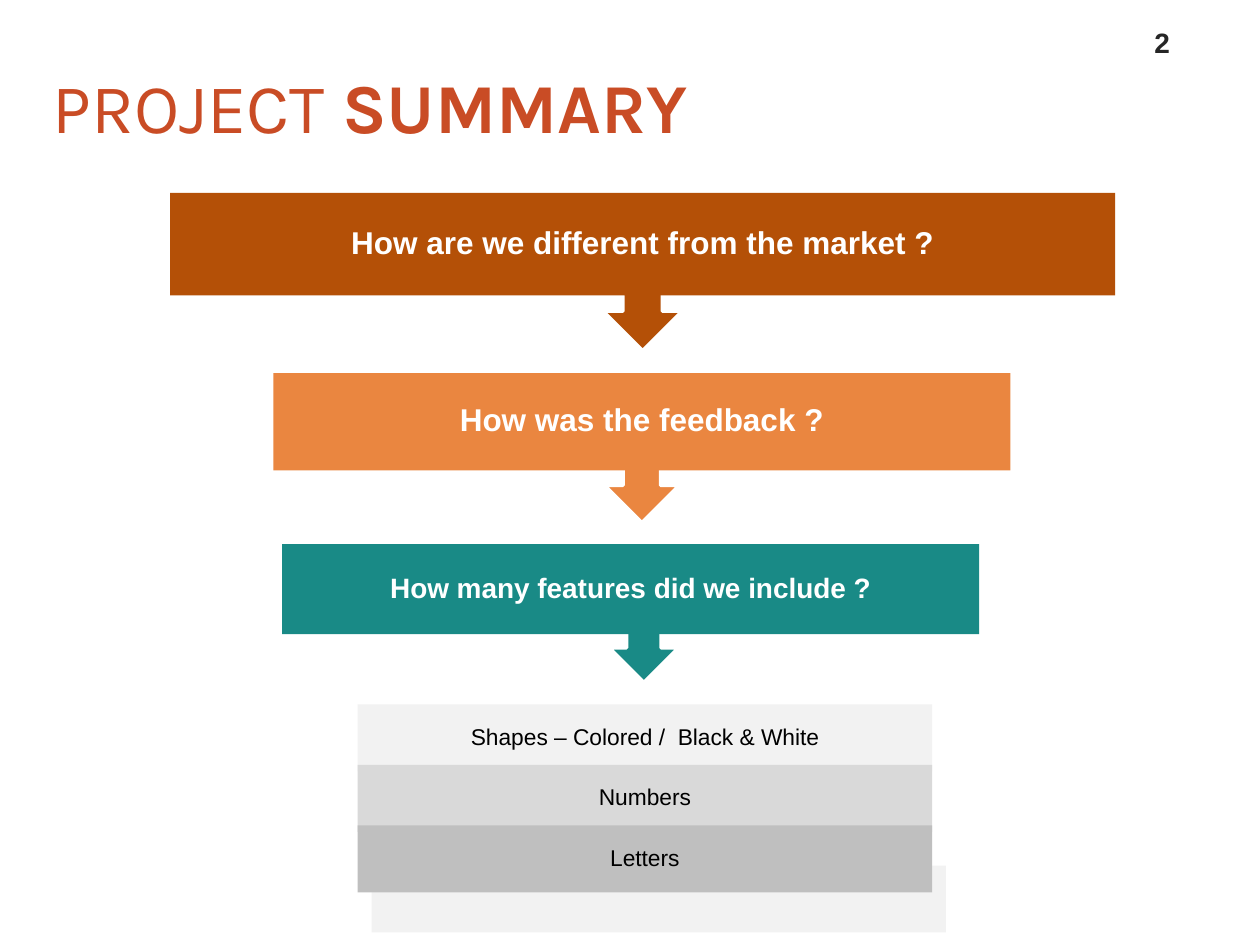
from dataclasses import dataclass

from pptx import Presentation
from pptx.dml.color import RGBColor
from pptx.enum.shapes import MSO_SHAPE
from pptx.enum.text import MSO_ANCHOR, MSO_AUTO_SIZE, PP_ALIGN
from pptx.util import Cm, Pt

RECTANGLE = MSO_SHAPE.RECTANGLE
ARROW_CALLOUT = MSO_SHAPE.DOWN_ARROW_CALLOUT
MIDDLE, BOTTOM = MSO_ANCHOR.MIDDLE, MSO_ANCHOR.BOTTOM
LEFT, CENTER = PP_ALIGN.LEFT, PP_ALIGN.CENTER
NO_FIT = MSO_AUTO_SIZE.NONE
TITLE_ONLY = 5


@dataclass(frozen=True)
class Theme:
    """Colours, fonts and type sizes of the slide."""
    title: str = "C94C25"
    number: str = "262626"
    white: str = "FFFFFF"
    black: str = "000000"
    rust: str = "B45007"
    orange: str = "EA8640"
    teal: str = "198A86"
    greys: tuple = ("F2F2F2", "D9D9D9", "BFBFBF")
    heading_font: str = "Karla"
    body_font: str = "Arial"
    title_size: int = 40
    large: int = 18
    medium: int = 16
    small: int = 13


THEME = Theme()


@dataclass(frozen=True)
class Box:
    """A rectangle on the slide, in centimetres."""
    left: float
    top: float
    width: float
    height: float

    def lengths(self):
        """Return the four lengths in the order that python-pptx takes."""
        return Cm(self.left), Cm(self.top), Cm(self.width), Cm(self.height)


def add_span(para, text, size, color, font=THEME.body_font, bold=False):
    """Add formatted text to a paragraph."""
    span = para.add_run()
    span.text = text
    span.font.name = font
    span.font.size = Pt(size)
    span.font.bold = bold
    span.font.color.rgb = RGBColor.from_string(color)


def set_frame(frame, anchor=MIDDLE, align=CENTER, side=0.25, end=0.25):
    """Set up a text frame and return its first paragraph."""
    frame.word_wrap = True
    frame.auto_size = NO_FIT
    frame.vertical_anchor = anchor
    frame.margin_left = frame.margin_right = Cm(side)
    frame.margin_top = frame.margin_bottom = Cm(end)
    para = frame.paragraphs[0]
    para.alignment = align
    return para


def add_block(shapes, kind, box, fill, outline=None):
    """Add a filled preset shape without a shadow."""
    block = shapes.add_shape(kind, *box.lengths())
    block.shadow.inherit = False
    block.fill.solid()
    block.fill.fore_color.rgb = RGBColor.from_string(fill)
    if outline:
        block.line.color.rgb = RGBColor.from_string(outline)
        block.line.width = Pt(2)
    else:
        block.line.fill.background()
    return block


def add_label(block, text, size, color, bold=False, margin=0.25):
    """Write centred text in a block."""
    para = set_frame(block.text_frame, side=margin, end=margin)
    para.line_spacing = 0.9
    add_span(para, text, size, color, bold=bold)


def add_title(page, box):
    """Place the two-weight title in its placeholder."""
    title = page.shapes.title
    title.left, title.top, title.width, title.height = box.lengths()
    para = set_frame(title.text_frame, align=LEFT, side=0, end=0.13)
    para._p.get_or_add_pPr().set("marL", str(Cm(0.5)))
    for text, bold in (("PROJECT", False), (" SUMMARY", True)):
        add_span(para, text, THEME.title_size, THEME.title,
                 font=THEME.heading_font, bold=bold)


def add_page_number(page, box, text):
    """Place the page number."""
    frame = page.shapes.add_textbox(*box.lengths()).text_frame
    para = set_frame(frame, anchor=BOTTOM, end=0.13)
    add_span(para, text, THEME.medium, THEME.number, bold=True)


def add_question(page, box, text, fill, size=THEME.large, arrow_inset=(0, 0)):
    """Place a question banner over a callout that points down."""
    shapes = page.shapes.add_group_shape().shapes
    before, after = arrow_inset
    callout = Box(box.left + before, box.top,
                  box.width - before - after, box.height)
    banner = Box(box.left, box.top, box.width, box.height * 0.65)
    add_block(shapes, ARROW_CALLOUT, callout, fill, outline=THEME.white)
    add_label(add_block(shapes, RECTANGLE, banner, fill), text, size,
              THEME.white, bold=True, margin=0.3)


def add_features(page, box, labels):
    """Stack overlapping feature rows above an offset backing strip."""
    row_height, step = 1.35, 1.22
    backing = Box(box.left + 0.28, box.top + box.height - row_height,
                  box.width, row_height)
    add_block(page.shapes, RECTANGLE, backing, THEME.greys[0])
    for index, (label, grey) in enumerate(zip(labels, THEME.greys)):
        row = Box(box.left, box.top + index * step, box.width, row_height)
        add_label(add_block(page.shapes, RECTANGLE, row, grey), label,
                  THEME.small, THEME.black)


def main():
    """Build and save the project summary slide."""
    deck = Presentation()
    deck.slide_width, deck.slide_height = Cm(25.4), Cm(19.05)
    page = deck.slides.add_slide(deck.slide_layouts[TITLE_ONLY])
    add_title(page, Box(0.56, 1.02, 14.27, 2.21))
    add_page_number(page, Box(22.73, 0.48, 1.4, 0.84), "2")
    add_question(page, Box(3.43, 3.89, 19.05, 3.18),
                 "How are we different from the market ?", THEME.rust)
    add_question(page, Box(5.51, 7.52, 14.86, 3.02),
                 "How was the feedback ?", THEME.orange)
    add_features(page, Box(7.21, 14.2, 11.58, 4.6),
                 ("Shapes – Colored /  Black & White", "Numbers", "Letters"))
    add_question(page, Box(5.69, 10.97, 14.05, 2.79),
                 "How many features did we include ?", THEME.teal,
                 size=THEME.medium, arrow_inset=(0.56, 0.03))
    deck.save("out.pptx")


if __name__ == "__main__":
    main()
